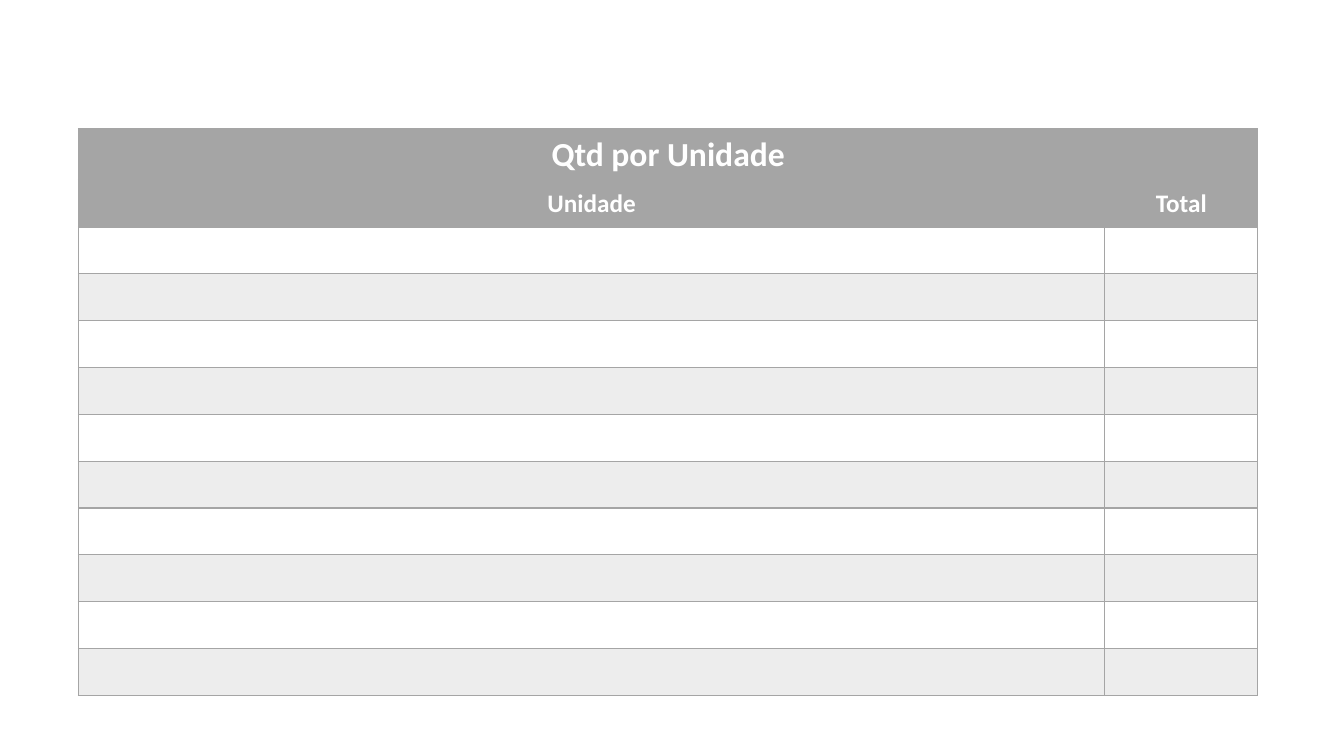
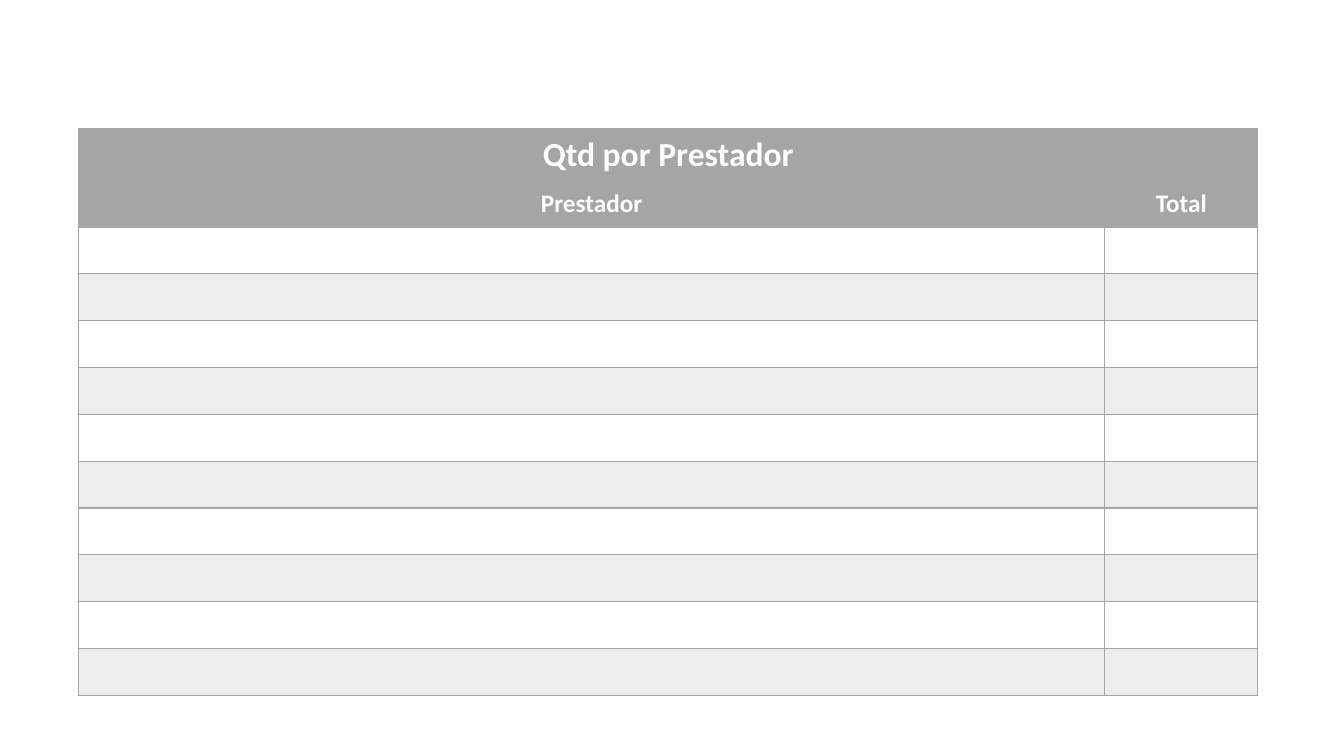
from lxml.etree import SubElement
from pptx import Presentation
from pptx.dml.color import RGBColor
from pptx.enum.shapes import MSO_SHAPE
from pptx.enum.text import MSO_ANCHOR, PP_ALIGN
from pptx.oxml.ns import qn
from pptx.util import Cm, Pt

COLORS = {"white": "FFFFFF", "gray": "A5A5A5"}
FONT = "Calibri"
PANEL_BOX = (1.14, 2.39, 31.57, 15.95)
TABLE_INSET = (0.84, 0.86)
TOTAL_WIDTH = 3.86
TITLE_HEIGHT, ROW_HEIGHT = 1.29, 1.18
HEADER_ROWS, DATA_ROWS = 2, 10


def set_fill(fill, properties, color, opacity=100):
    fill.solid()
    fill.fore_color.rgb = RGBColor.from_string(COLORS[color])
    if opacity < 100:
        tint = properties.find(qn("a:solidFill"))[0]
        SubElement(tint, qn("a:alpha")).set("val", str(opacity * 1000))


def set_borders(properties, color, bottom=1):
    for side, width in (("L", 1), ("R", 1), ("T", 1), ("B", bottom)):
        line = SubElement(properties, qn(f"a:ln{side}"), w=str(Pt(width)))
        paint = SubElement(line, qn("a:solidFill"))
        SubElement(paint, qn("a:srgbClr"), val=COLORS[color])


def write_text(cell, text, size=18, color="white", bold=True):
    cell.vertical_anchor = MSO_ANCHOR.MIDDLE
    para = cell.text_frame.paragraphs[0]
    para.alignment = PP_ALIGN.CENTER
    span = para.add_run()
    span.text = text
    span.font.name, span.font.size, span.font.bold = FONT, Pt(size), bold
    span.font.color.rgb = RGBColor.from_string(COLORS[color])


def add_panel(page, box):
    panel = page.shapes.add_shape(MSO_SHAPE.RECTANGLE, *map(Cm, box))
    panel.shadow.inherit = False
    set_fill(panel.fill, panel._element.spPr, "white", opacity=90)
    panel.line.color.rgb = RGBColor.from_string(COLORS["white"])
    panel.line.width = Pt(1)


def add_count_table(page, box, category):
    left, top, width, height = box
    rows = HEADER_ROWS + DATA_ROWS
    frame = page.shapes.add_table(rows, 2, *map(Cm, box))
    table = frame.table
    table.first_row = table.horz_banding = False

    # Column and row sizes
    table.columns[0].width = Cm(width - TOTAL_WIDTH)
    table.columns[1].width = Cm(TOTAL_WIDTH)
    for index, row in enumerate(table.rows):
        row.height = Cm(ROW_HEIGHT if index else TITLE_HEIGHT)

        # Gray headers, then alternating plain and tinted rows
        for cell in row.cells:
            properties = cell._tc.get_or_add_tcPr()
            set_borders(properties, "gray", bottom=1 if index else 2)
            if index < HEADER_ROWS:
                set_fill(cell.fill, properties, "gray")
            elif index % 2:
                set_fill(cell.fill, properties, "gray", opacity=20)
            else:
                cell.fill.background()

    # Title and column headings
    table.cell(0, 0).merge(table.cell(0, 1))
    write_text(table.cell(0, 0), f"Qtd por {category}", size=24)
    write_text(table.cell(1, 0), category)
    write_text(table.cell(1, 1), "Total")


def add_count_page(deck, category):
    page = deck.slides.add_slide(deck.slide_layouts[6])
    add_panel(page, PANEL_BOX)
    left, top, width, height = PANEL_BOX
    inset_x, inset_y = TABLE_INSET
    table_height = TITLE_HEIGHT + ROW_HEIGHT * (HEADER_ROWS + DATA_ROWS - 1)
    table_box = (left + inset_x, top + inset_y, width - 2 * inset_x - 0.17, table_height)
    add_count_table(page, table_box, category)


def main():
    deck = Presentation()
    deck.slide_width, deck.slide_height = Cm(33.87), Cm(19.05)
    for category in ("Unidade", "Prestador"):
        add_count_page(deck, category)
    deck.save("out.pptx")


if __name__ == "__main__":
    main()
